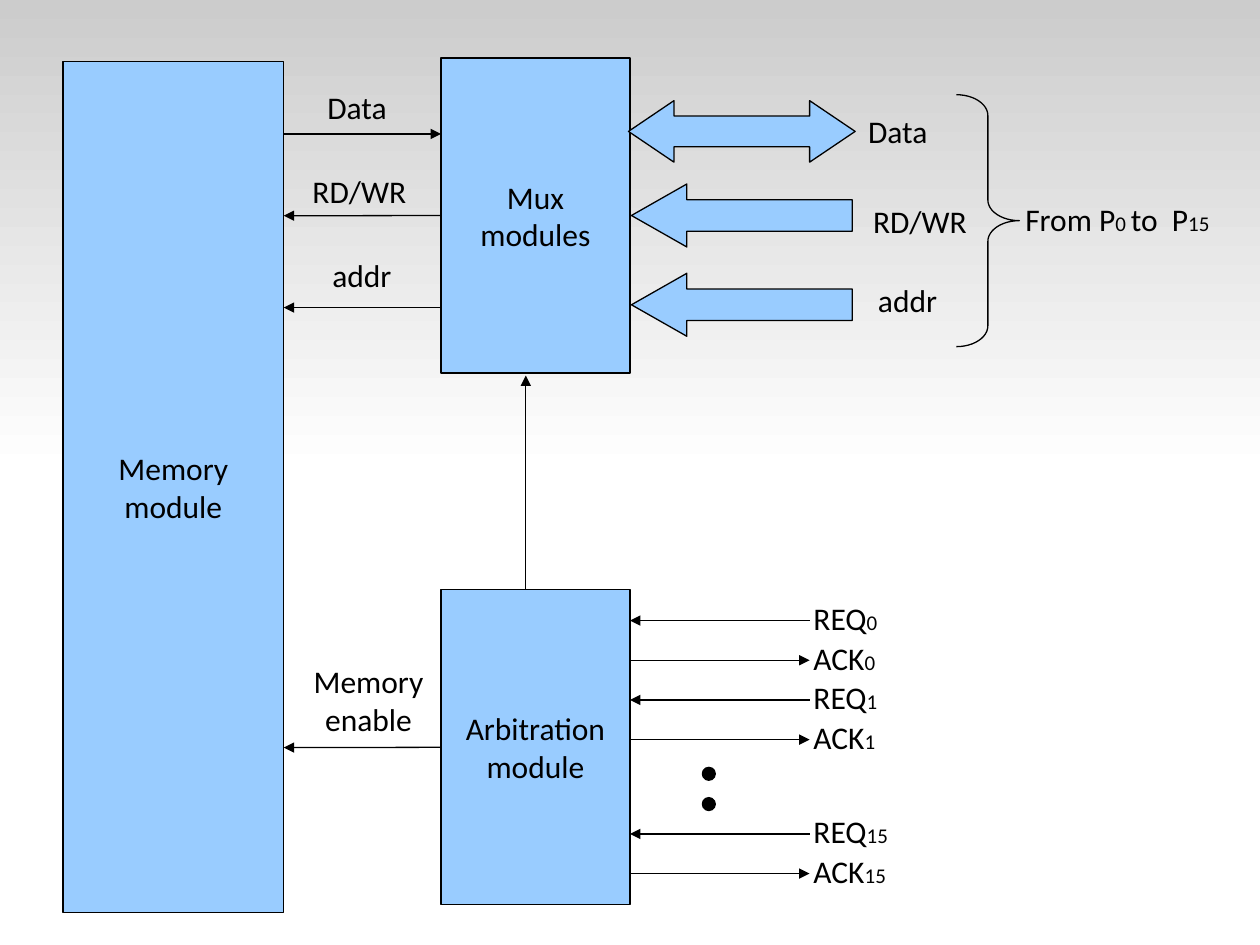
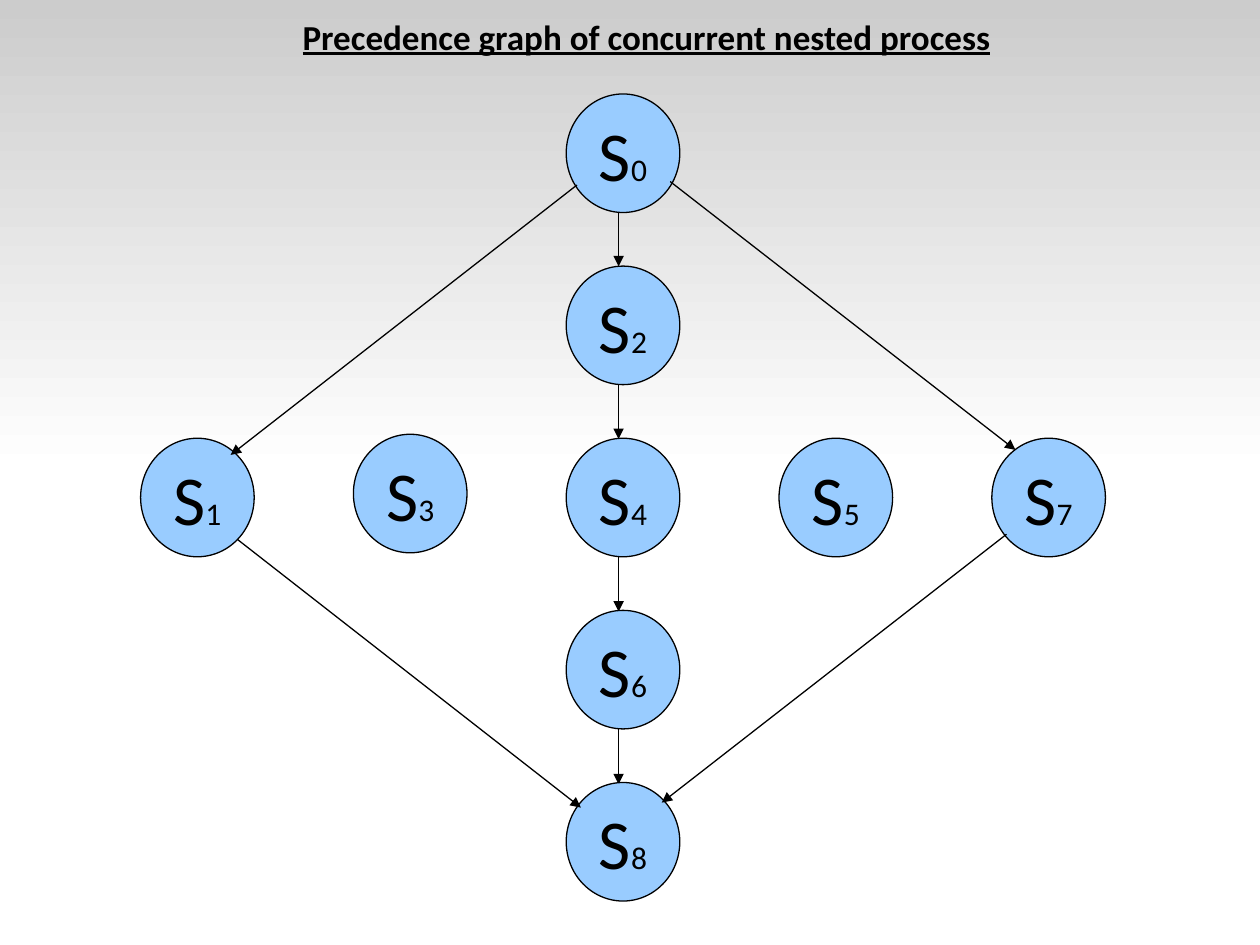
import pptx
import pptx.util
import pptx.dml.color
import pptx.enum.shapes
import pptx.enum.text
import pptx.oxml.ns
import lxml.etree

Cm = pptx.util.Cm
SHAPES = pptx.enum.shapes.MSO_SHAPE
ALIGN = pptx.enum.text.PP_ALIGN
COLOURS = {"ink": "000000", "block": "99CCFF", "band": "CCCCCC", "paper": "FFFFFF"}
FONT = "Calibri"


def colour(name):
    return pptx.dml.color.RGBColor.from_string(COLOURS[name])


class Sketch:
    def __init__(self, deck):
        self.deck = deck
        self.page = None

    def new_page(self):
        self.page = self.deck.slides.add_slide(self.deck.slide_layouts[6])

    def add_master_band(self, height):
        band = self.page.shapes.add_shape(
            SHAPES.RECTANGLE, 0, 0, self.deck.slide_width, Cm(height))
        band.shadow.inherit = False
        band.line.fill.background()
        band.fill.gradient()
        band.fill.gradient_angle = 270
        for stop, name, position in zip(band.fill.gradient_stops, ("band", "paper"), (0, 1)):
            stop.color.rgb = colour(name)
            stop.position = position
        band.element.nvSpPr.cNvPr.set("id", "99")
        self.deck.slide_master.shapes.element.insert(2, band.element)

    def fill_text(self, frame, parts, align):
        frame.text = parts[0][0]
        for text, size in parts[1:]:
            frame.paragraphs[0].add_run().text = text
        sizes = [size for text, size in parts]
        for para in frame.paragraphs:
            para.alignment = align
            for span, size in zip(para.runs, sizes):
                span.font.name = FONT
                span.font.size = pptx.util.Pt(size)
                span.font.color.rgb = colour("ink")

    def shape(self, kind, left, top, width, height, parts=None, fill="block", adjust=()):
        shape = self.page.shapes.add_shape(kind, Cm(left), Cm(top), Cm(width), Cm(height))
        shape.shadow.inherit = False
        for index, value in enumerate(adjust):
            shape.adjustments[index] = value
        if fill:
            shape.fill.solid()
            shape.fill.fore_color.rgb = colour(fill)
        else:
            shape.fill.background()
        shape.line.color.rgb = colour("ink")
        shape.line.width = pptx.util.Pt(0.75)
        if parts:
            frame = shape.text_frame
            frame.word_wrap = False
            frame.vertical_anchor = pptx.enum.text.MSO_ANCHOR.MIDDLE
            self.fill_text(frame, parts, ALIGN.CENTER)
        return shape

    def label(self, left, top, width, parts, align=ALIGN.LEFT, height=1.02):
        box = self.page.shapes.add_textbox(Cm(left), Cm(top), Cm(width), Cm(height))
        box.text_frame.word_wrap = True
        self.fill_text(box.text_frame, parts, align)
        return box

    def arrow(self, start, end):
        arrow = self.page.shapes.add_connector(
            pptx.enum.shapes.MSO_CONNECTOR.STRAIGHT, *map(Cm, start + end))
        arrow.line.color.rgb = colour("ink")
        arrow.line.width = pptx.util.Pt(0.75)
        qn = pptx.oxml.ns.qn
        properties = arrow.element.spPr
        lxml.etree.SubElement(properties.find(qn("a:ln")), qn("a:tailEnd"), type="triangle")
        lxml.etree.SubElement(properties, qn("a:effectLst"))
        return arrow


def draw_memory_system(sketch):
    sketch.new_page()
    sketch.add_master_band(9.53)
    memory_right, module_left, module_right = 5.72, 8.89, 12.7
    sketch.arrow((10.6, 12.67), (10.6, 7.57))
    sketch.shape(SHAPES.RECTANGLE, 1.27, 1.24, 4.45, 17.15, [("Memory\nmodule", 18)])
    mux, arbitration = [
        sketch.shape(SHAPES.RECTANGLE, module_left, top, 3.81, 6.35, [(text, 18)])
        for top, text in ((1.17, "Mux\nmodules"), (11.89, "Arbitration\nmodule"))]

    sketch.arrow((memory_right, 2.7), (module_left, 2.7))
    sketch.arrow((module_left, 6.2), (memory_right, 6.2))
    for module, middle in ((mux, 4.35), (arbitration, 15.07)):
        sketch.arrow((module_left, middle), (memory_right, middle)).begin_connect(module, 1)

    sketch.shape(SHAPES.LEFT_RIGHT_ARROW, 12.67, 2.03, 4.57, 1.24, adjust=(0.5, 0.74))
    for top in (3.71, 5.51):
        sketch.shape(SHAPES.LEFT_ARROW, 12.73, top, 4.45, 1.27, adjust=(0.5, 0.88))
    sketch.shape(SHAPES.RIGHT_BRACE, 19.28, 1.91, 1.27, 5.08, fill=None, adjust=(0.33, 0.5))

    for left, top, text in (
            (6.35, 1.65, "Data"), (6.05, 3.35, "RD/WR"), (6.45, 5.03, "addr"),
            (17.25, 2.13, "Data"), (17.35, 3.94, "RD/WR"), (17.45, 5.54, "addr")):
        sketch.label(left, top, 3.18, [(text, 18)])
    sketch.label(5.84, 13.23, 3.18, [("Memory\nenable", 18)], ALIGN.CENTER, 1.78)
    sketch.label(20.42, 3.91, 5.72, [("From P", 18), ("0 ", 12), ("to  P", 18), ("15", 12)])

    signal_left, signal_right, pitch = module_right, 16.32, 0.8
    for processor, top in (("0", 12.51), ("1", 14.11), ("15", 16.81)):
        sketch.arrow((signal_right, top), (signal_left, top))
        sketch.arrow((signal_left, top + pitch), (signal_right, top + pitch))
        for row, signal in enumerate(("REQ", "ACK")):
            sketch.label(16.15, top + row * pitch - 0.56, 3.18, [(signal, 18), (processor, 12)])
    for top in (15.47, 16.08):
        sketch.shape(SHAPES.OVAL, 14.16, top, 0.26, 0.26, fill="ink")


def draw_precedence_graph(sketch):
    sketch.new_page()
    width, height = 2.29, 2.39
    for step in range(4):
        top = 4.17 + 3.48 * step
        sketch.arrow((12.47, top), (12.47, top + 1.2))

    nodes = {0: (0, -2), 2: (0, -1), 4: (0, 0), 6: (0, 1), 8: (0, 2),
             1: (-2, 0), 3: (-1, 0), 5: (1, 0), 7: (2, 0)}
    for number, (column, row) in nodes.items():
        centre_x = 12.56 + 4.29 * column
        centre_y = 10.03 + 3.47 * row - (0.08 if number == 3 else 0)
        sketch.shape(SHAPES.OVAL, centre_x - width / 2, centre_y - height / 2,
                     width, height, [("S", 40), (str(number), 18)])

    for start, end in (((11.63, 3.73), (4.65, 9.17)), ((20.29, 10.77), (13.34, 16.18)),
                       ((13.51, 3.66), (20.47, 9.07)), ((4.78, 10.87), (11.71, 16.28))):
        sketch.arrow(start, end)

    title = sketch.label(0.97, 0.18, 24.13,
                         [("Precedence graph of concurrent nested process", 20)], ALIGN.CENTER)
    font = title.text_frame.paragraphs[0].runs[0].font
    font.bold = True
    font.underline = True


def main():
    deck = pptx.Presentation()
    deck.slide_width, deck.slide_height = Cm(25.4), Cm(19.05)
    sketch = Sketch(deck)
    draw_memory_system(sketch)
    draw_precedence_graph(sketch)
    deck.save("out.pptx")


if __name__ == "__main__":
    main()
